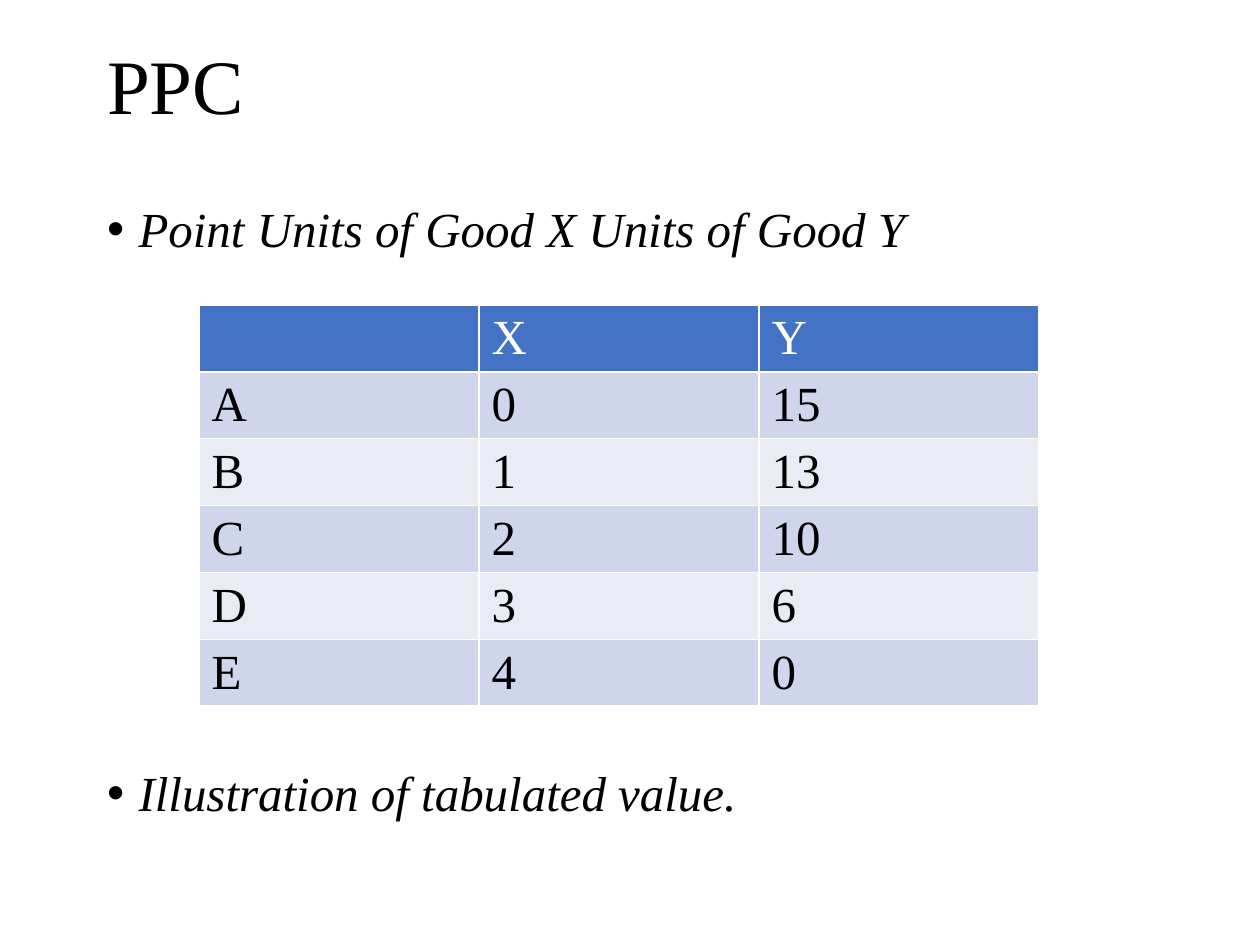
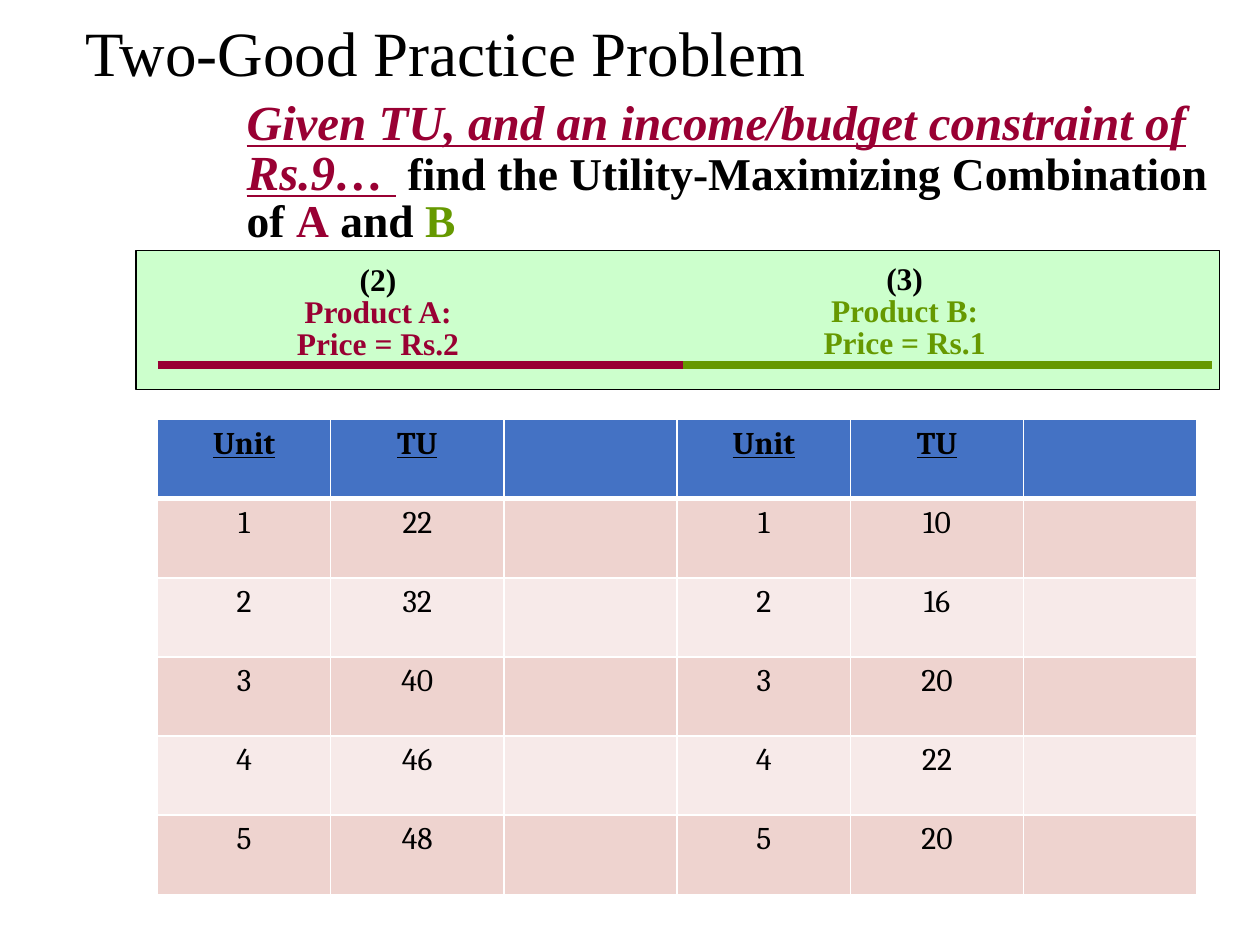
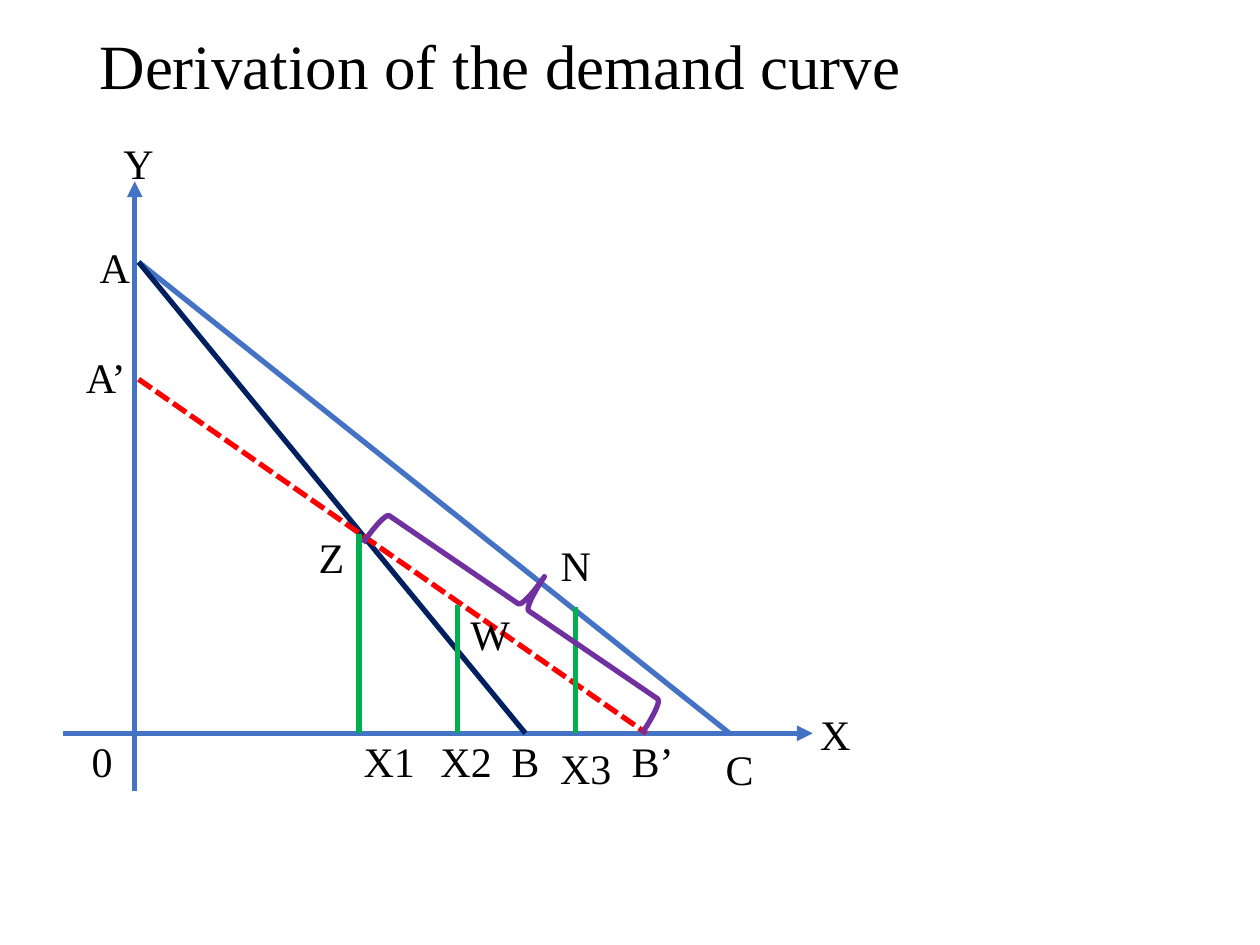
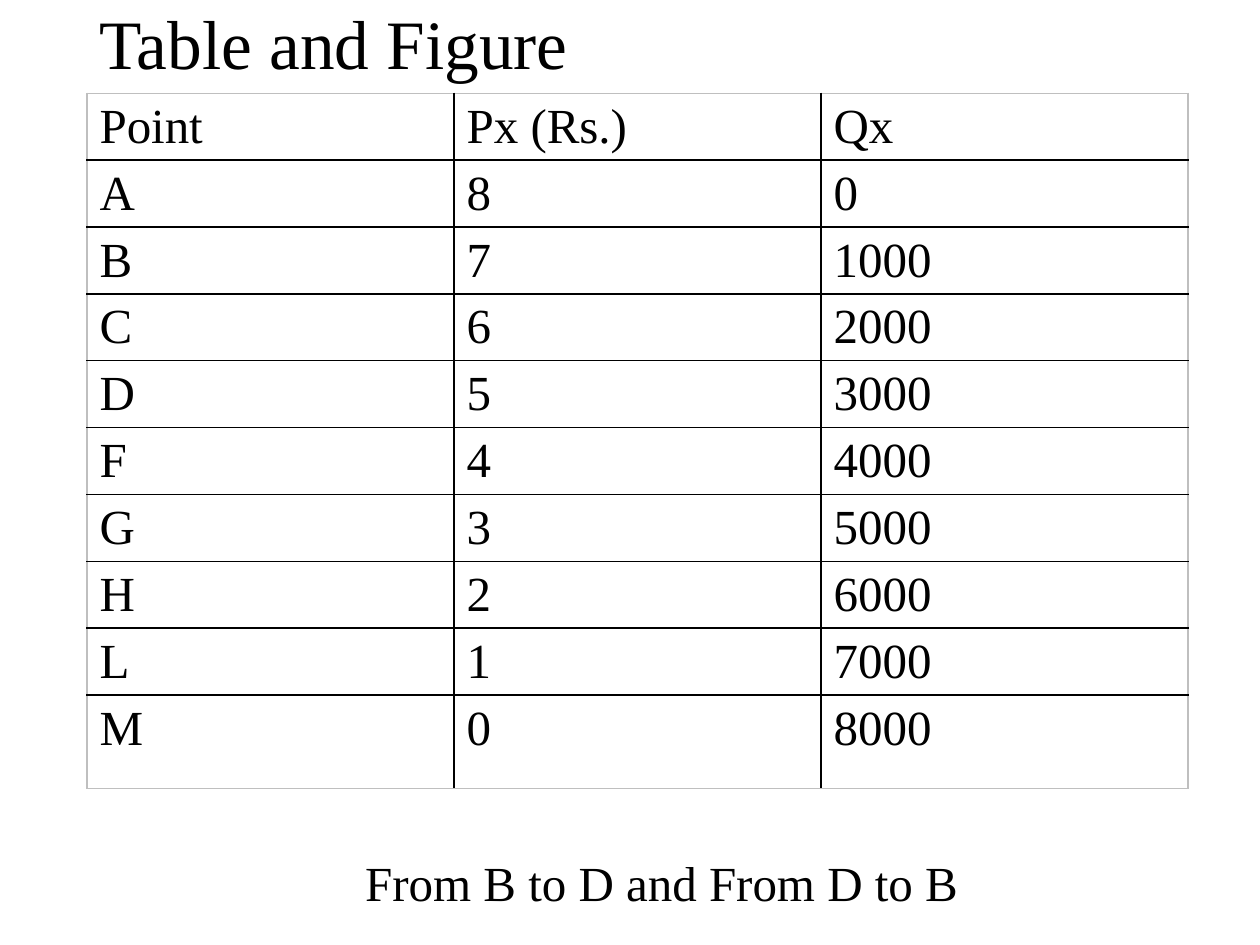
from pptx import Presentation
from pptx import util as u
from pptx.dml.color import RGBColor
from pptx.enum import dml, shapes, text
from pptx.oxml.ns import qn
from lxml import etree

WIDTH, HEIGHT = 10, 7.5
SERIF, TABLE_FONT = "Times New Roman", "Cambria"
BLACK, WHITE, BLUE, NAVY = "000000", "FFFFFF", "4472C4", "002060"
RED, GREEN, PURPLE, GREY = "FF0000", "00B050", "7030A0", "BFBFBF"
CRIMSON, OLIVE, MINT = "990033", "669900", "CCFFCC"
BLUE_BANDS, ROSE_BANDS = ("CFD5EA", "E9EBF5"), ("EED3CF", "F7EAE9")
LEFT, CENTER = text.PP_ALIGN.LEFT, text.PP_ALIGN.CENTER

# Slide 1
PPC_NOTES = ["Point Units of Good X Units of Good Y", "Illustration of tabulated value."]
PPC_ROWS = [("", "X", "Y"), ("A", 0, 15), ("B", 1, 13), ("C", 2, 10), ("D", 3, 6), ("E", 4, 0)]

# Slide 2
TASK = [
    ("Given TU, and an income/budget constraint of Rs.9… ",
     dict(size=28, color=CRIMSON, italic=True, underline=True)),
    (" find the Utility-Maximizing Combination of ", {}),
    ("A", dict(color=CRIMSON)), (" and ", {}), ("B", dict(color=OLIVE)),
]
# number, name, price, colour, label left and top, rule start and end
PRODUCTS = [
    ("(2)", "Product A:", "Price = Rs.2", CRIMSON, (2.18, 2.06), (1.25, 5.42)),
    ("(3)", "Product B:", "Price = Rs.1", OLIVE, (6.36, 2.05), (5.42, 9.62)),
]
TU_A, TU_B = (22, 32, 40, 46, 48), (10, 16, 20, 22, 20)
UTILITY_ROWS = [("Unit", "TU", "") * 2] + [
    (unit, a, "", unit, b, "") for unit, (a, b) in enumerate(zip(TU_A, TU_B), 1)]

# Slide 3
AXIS_X, AXIS_Y, ORIGIN = 1.07, 5.82, 1.1
BUDGET_LINES = [  # start height on the Y axis, end on the X axis, colour, dash
    (2.08, 5.79, BLUE, None),
    (2.08, 4.17, NAVY, None),
    (3.01, 5.13, RED, dml.MSO_LINE.SQUARE_DOT),
]
DROPS = [(2.85, 4.24), (4.57, 4.82), (3.63, 4.8)]  # x, top
GRAPH_LABELS = [  # text, centre x, centre y
    ("Y", 1.1, 1.29), ("X", 6.63, 5.82), ("0", 0.81, 6.04), ("A", 0.91, 2.12),
    ("A’", 0.84, 2.99), ("B", 4.17, 6.04), ("B’", 5.18, 6.04), ("C", 5.87, 6.1),
    ("X1", 3.09, 6.04), ("Z", 2.63, 4.42), ("N", 4.57, 4.48), ("X2", 3.7, 6.04),
    ("X3", 4.65, 6.09), ("W", 3.89, 5.03),
]

# Slide 4
DEMAND_ROWS = [("Point", "Px (Rs.)", "Qx")] + [
    (point, 8 - step, 1000 * step if step else 0) for step, point in enumerate("ABCDFGHLM")]


def rgb(color):
    return RGBColor.from_string(color)


def inches(*lengths):
    return [u.Inches(length) for length in lengths]


def write(frame, paragraphs, align=LEFT, spacing=1.0, before=0, **base):
    """Fill a frame; each paragraph is a string or a list of (text, format) spans."""
    for index, spans in enumerate(paragraphs):
        para = frame.paragraphs[0] if index == 0 else frame.add_paragraph()
        para.alignment, para.line_spacing = align, spacing
        para.space_before = u.Pt(before)
        for words, extra in [(spans, {})] if isinstance(spans, str) else spans:
            style = dict(size=28, font=SERIF, color=BLACK, bold=False,
                         italic=False, underline=False) | base | extra
            span = para.add_run()
            span.text = words
            span.font.size, span.font.name = u.Pt(style["size"]), style["font"]
            span.font.color.rgb = rgb(style["color"])
            span.font.bold, span.font.italic = style["bold"], style["italic"]
            span.font.underline = style["underline"]


def place(shape, *box):
    shape.left, shape.top, shape.width, shape.height = inches(*box)


def add_page(deck, title, box, size=36, layout=5):
    page = deck.slides.add_slide(deck.slide_layouts[layout])
    heading = page.shapes.title
    place(heading, *box)
    frame = heading.text_frame
    frame.auto_size = text.MSO_AUTO_SIZE.NONE
    frame.vertical_anchor = text.MSO_ANCHOR.MIDDLE
    write(frame, [title], spacing=0.9, size=size)
    return page


def add_text(parent, box, paragraphs, wrap=True, **style):
    frame = parent.add_textbox(*inches(*box)).text_frame
    frame.word_wrap = wrap
    write(frame, paragraphs, **style)


def add_preset(page, kind, box, fill=None, line=None, weight=0.75):
    shape = page.shapes.add_shape(kind, *inches(*box))
    shape.shadow.inherit = False
    if fill:
        shape.fill.solid()
        shape.fill.fore_color.rgb = rgb(fill)
    else:
        shape.fill.background()
    if line:
        shape.line.color.rgb, shape.line.width = rgb(line), u.Pt(weight)
    else:
        shape.line.fill.background()
    return shape


def add_line(parent, start, end, color, weight=3, dash=None, arrow=False):
    line = parent.add_connector(shapes.MSO_CONNECTOR.STRAIGHT, *inches(*start, *end))
    line.line.color.rgb, line.line.width = rgb(color), u.Pt(weight)
    if dash:
        line.line.dash_style = dash
    if arrow:
        etree.SubElement(line.line._get_or_add_ln(), qn("a:tailEnd"), type="triangle")
    etree.SubElement(line._element.spPr, qn("a:effectLst"))


def set_border(cell, side, color, weight):
    edge = etree.SubElement(cell._tc.get_or_add_tcPr(), qn(f"a:{side}"), w=str(u.Pt(weight)))
    fill = etree.SubElement(edge, qn("a:solidFill"))
    etree.SubElement(fill, qn("a:srgbClr"), val=color)


def add_grid(page, box, rows, border, outer=None, header=None, bands=None,
             header_rule=1, head_style=None, **style):
    """Add a table with even rows and columns; bands alternate below the header."""
    last_row, last_col = len(rows) - 1, len(rows[0]) - 1
    table = page.shapes.add_table(len(rows), len(rows[0]), *inches(*box)).table
    table.first_row = table.horz_banding = False
    for r, values in enumerate(rows):
        for c, value in enumerate(values):
            cell = table.cell(r, c)
            if value != "":
                write(cell.text_frame, [str(value)],
                      **style | (head_style or {} if r == 0 else {}))
            edges = {"lnL": c == 0, "lnR": c == last_col, "lnT": r == 0, "lnB": r == last_row}
            for side, outside in edges.items():
                below_header = (r, side) in ((0, "lnB"), (1, "lnT"))
                set_border(cell, side, outer if outer and outside else border,
                           header_rule if below_header else 1)
            if header:
                cell.fill.solid()
                cell.fill.fore_color.rgb = rgb(bands[(r - 1) % 2] if r else header)
            else:
                cell.fill.background()
    return table


def build_ppc(deck):
    page = add_page(deck, "PPC", (0.75, 0.25, 8.5, 0.92), size=44, layout=1)
    body = page.placeholders[1]
    place(body, 0.75, 1.58, 8.5, 5.08)
    frame = body.text_frame
    frame.auto_size = text.MSO_AUTO_SIZE.NONE
    write(frame, PPC_NOTES, spacing=0.9, before=10, italic=True)
    for para in frame.paragraphs:
        layout = para._p.get_or_add_pPr()
        layout.set("marL", str(u.Inches(0.25)))
        layout.set("indent", str(-u.Inches(0.25)))
    frame.paragraphs[1].space_before = u.Pt(292)  # leaves room for the table
    add_grid(page, (1.58, 2.42, WIDTH * 2 / 3, 3.18), PPC_ROWS, WHITE, header=BLUE,
             bands=BLUE_BANDS, head_style=dict(color=WHITE))


def build_practice(deck):
    page = add_page(deck, "Two-Good Practice Problem", (0.58, 0.06, 9.25, 0.77))
    add_preset(page, shapes.MSO_SHAPE.RECTANGLE, (1.08, 1.99, 8.6, 1.1), MINT, BLACK)
    for number, name, price, color, corner, (start, end) in PRODUCTS:
        group = page.shapes.add_group_shape().shapes
        label = [number, [(name, dict(color=color))], [(price, dict(color=color))]]
        add_text(group, (*corner, 1.64, 0.87), label, wrap=False, align=CENTER,
                 spacing=0.85, size=18, bold=True)
        add_line(group, (start, 2.9), (end, 2.9), color, weight=4.5)
    add_grid(page, (1.25, 3.33, 8.25, 3.77), UTILITY_ROWS, WHITE, header=BLUE,
             bands=ROSE_BANDS, header_rule=3, head_style=dict(bold=True, underline=True),
             size=18, font=TABLE_FONT, align=CENTER)
    add_text(page.shapes, (1.86, 0.75, 7.91, 1.28), [TASK], spacing=0.85, size=26, bold=True)


def build_demand(deck):
    page = add_page(deck, "Derivation of the demand curve", (0.69, 0.23, 8.62, 0.63))
    add_line(page.shapes, (0.5, AXIS_Y), (6.45, AXIS_Y), BLUE, arrow=True)
    add_line(page.shapes, (AXIS_X, 6.28), (AXIS_X, 1.44), BLUE, arrow=True)
    for top, end, color, dash in BUDGET_LINES:
        add_line(page.shapes, (ORIGIN, top), (end, AXIS_Y), color, dash=dash)
    for words, x, y in GRAPH_LABELS:
        width, height = 0.93 if words[1:].isdigit() else 0.82, 0.76
        label = add_preset(page, shapes.MSO_SHAPE.DODECAGON,
                           (x - width / 2, y - height / 2, width, height))
        label.text_frame.vertical_anchor = text.MSO_ANCHOR.MIDDLE
        write(label.text_frame, [words], align=CENTER, size=24)
    for x, top in DROPS:
        add_line(page.shapes, (x, top), (x, AXIS_Y), GREEN)
    brace = add_preset(page, shapes.MSO_SHAPE.RIGHT_BRACE, (3.86, 3.48, 0.59, 2.68),
                       line=PURPLE, weight=3)
    brace.rotation = 304.3


def build_table_and_figure(deck):
    page = add_page(deck, "Table and Figure", (0.69, 0.14, 8.62, 0.46), size=39.6)
    table = add_grid(page, (0.69, 0.74, 8.74, 5.3), DEMAND_ROWS, BLACK, outer=GREY)
    table.rows[len(DEMAND_ROWS) - 1].height = u.Inches(0.74)
    add_text(page.shapes, (2.8, 6.72, WIDTH / 2, 0.57), ["From B to D and From D to B"])


def main():
    deck = Presentation()
    deck.slide_width, deck.slide_height = inches(WIDTH, HEIGHT)
    for build in (build_ppc, build_practice, build_demand, build_table_and_figure):
        build(deck)
    deck.save("out.pptx")


if __name__ == "__main__":
    main()
